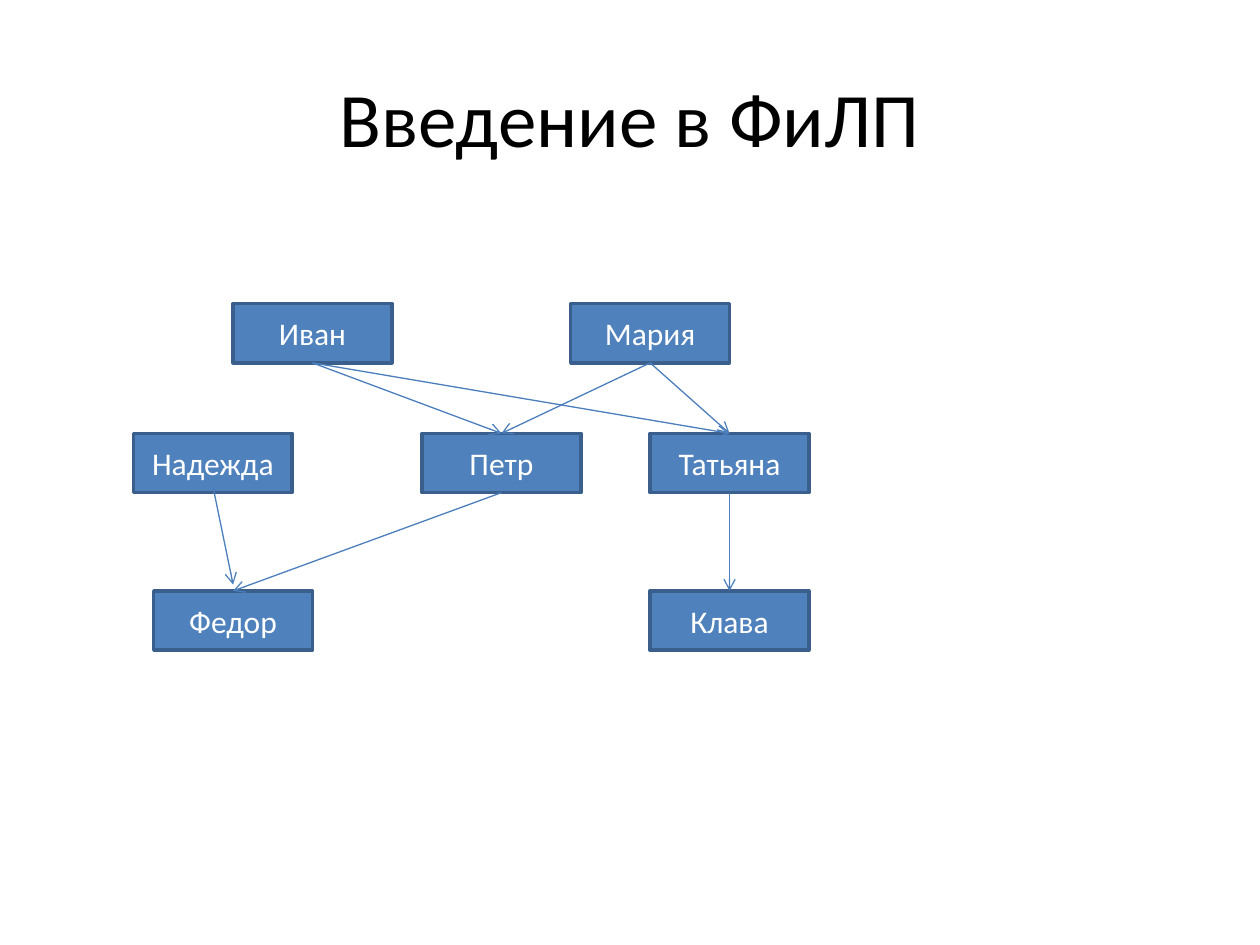
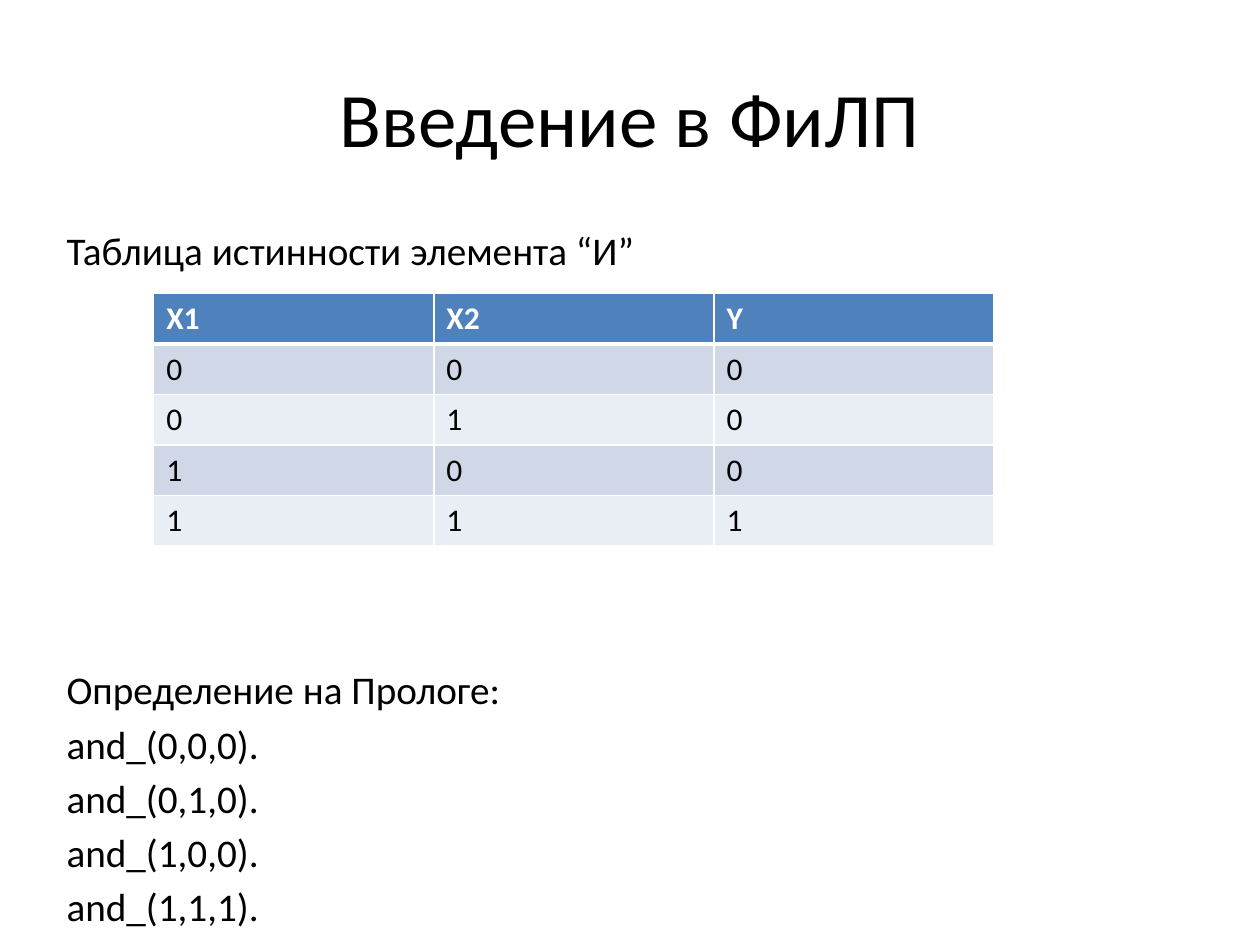
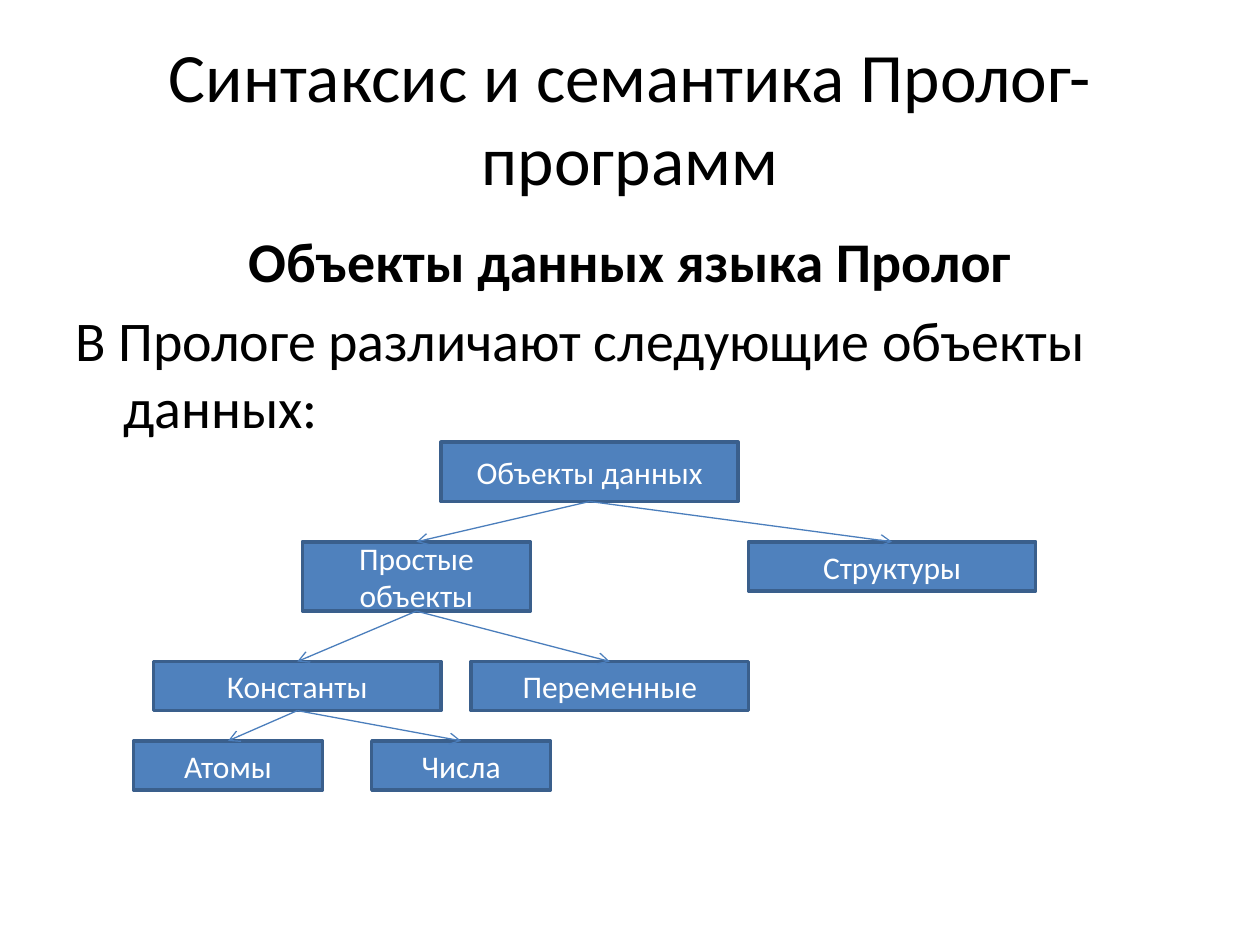
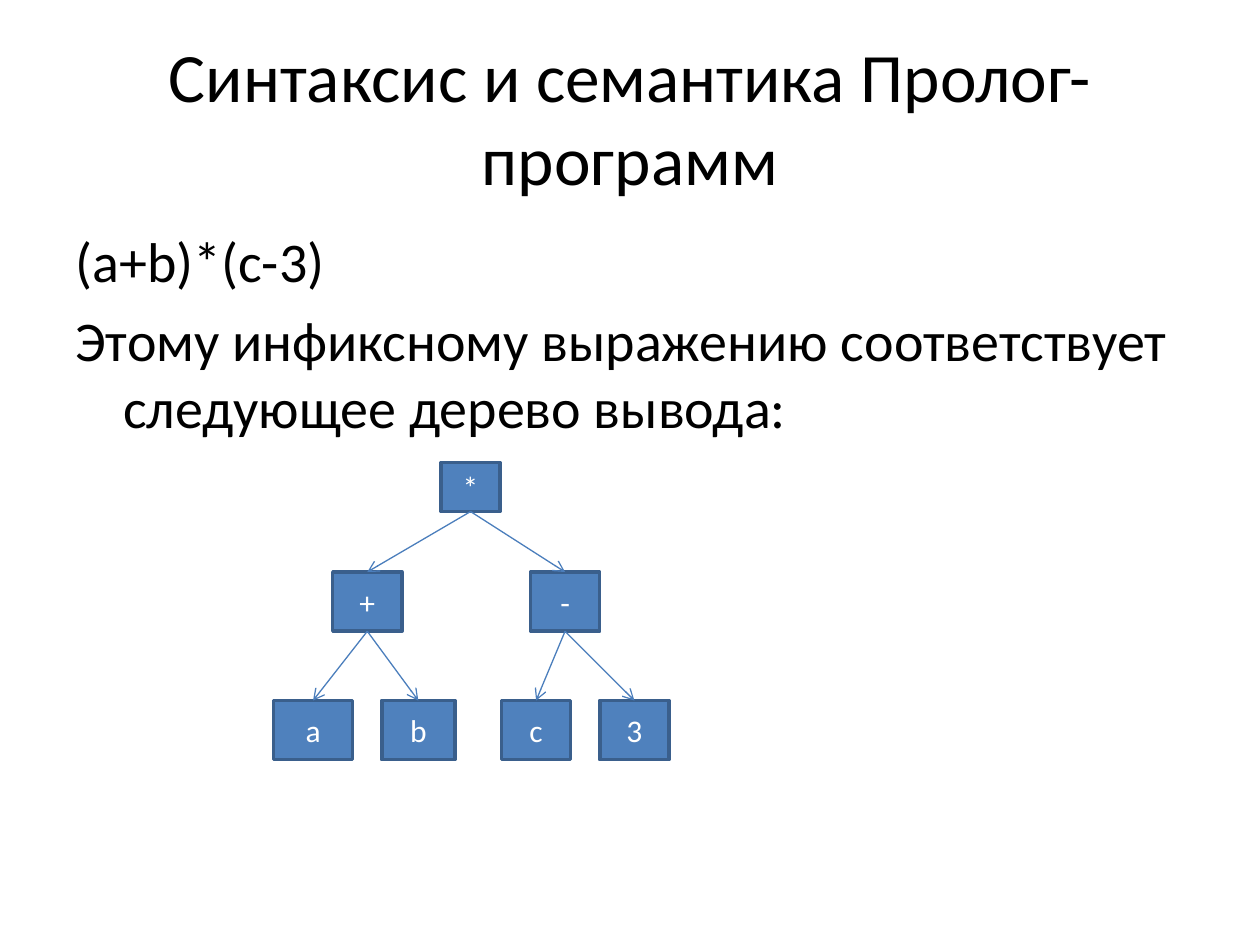
from dataclasses import dataclass
from itertools import product

from lxml import etree
from pptx import Presentation
from pptx.dml.color import RGBColor
from pptx.enum.shapes import MSO_CONNECTOR, MSO_SHAPE
from pptx.enum.text import MSO_ANCHOR, MSO_AUTO_SIZE, PP_ALIGN
from pptx.oxml.ns import qn
from pptx.presentation import Presentation as Deck
from pptx.shapes.autoshape import Shape
from pptx.slide import Slide
from pptx.table import _Cell as Cell
from pptx.text.text import _Paragraph as Paragraph
from pptx.util import Inches, Pt

RECTANGLE = MSO_SHAPE.RECTANGLE
STRAIGHT = MSO_CONNECTOR.STRAIGHT
LEFT, CENTER = PP_ALIGN.LEFT, PP_ALIGN.CENTER
MIDDLE = MSO_ANCHOR.MIDDLE
NO_AUTOFIT = MSO_AUTO_SIZE.NONE
TOP_SITE, BOTTOM_SITE = 0, 2
TITLE_ONLY = 5


@dataclass(frozen=True)
class Theme:
    font: str = "Calibri"
    text: str = "000000"
    paper: str = "FFFFFF"
    accent: str = "4F81BD"
    outline: str = "3A5F8C"
    arrow: str = "4B7EBC"
    bands: tuple[str, str] = ("D0D8E8", "E9EDF4")
    title_size: float = 44
    long_title_size: float = 39.6
    body_size: float = 32
    small_body_size: float = 22.4
    label_size: float = 18
    outline_width: float = 2
    arrow_width: float = 0.75
    rule_width: float = 1
    header_rule_width: float = 3


THEME = Theme()
INTRO_TITLE = "Введение в ФиЛП"
SYNTAX_TITLE = "Синтаксис и семантика Пролог-программ"


@dataclass(frozen=True)
class Node:
    text: str
    left: float
    top: float
    width: float
    height: float


@dataclass(frozen=True)
class Link:
    """An arrow from a node's bottom to another's top, raised by `rise` inches."""
    source: str
    target: str
    rise: float = 0


@dataclass(frozen=True)
class BodyLine:
    text: str
    space_before: float
    bold: bool = False
    align: PP_ALIGN = LEFT


def add_span(paragraph: Paragraph, text: str, size: float, color: str, bold: bool = False) -> None:
    span = paragraph.add_run()
    span.text = text
    span.font.name = THEME.font
    span.font.size = Pt(size)
    span.font.bold = bold
    span.font.color.rgb = RGBColor.from_string(color)


def add_titled_slide(deck: Deck, text: str, size: float) -> Slide:
    slide = deck.slides.add_slide(deck.slide_layouts[TITLE_ONLY])
    title = slide.shapes.title
    title.left, title.top = Inches(0.5), Inches(0.3)
    title.width, title.height = Inches(9), Inches(1.25)
    frame = title.text_frame
    frame.word_wrap = True
    frame.auto_size = NO_AUTOFIT
    frame.vertical_anchor = MIDDLE
    paragraph = frame.paragraphs[0]
    paragraph.alignment = CENTER
    add_span(paragraph, text, size, THEME.text)
    return slide


def add_body(slide: Slide, lines: list[BodyLine], size: float, left: float = 0.5) -> None:
    box = slide.shapes.add_textbox(Inches(left), Inches(1.75), Inches(9), Inches(4.95))
    frame = box.text_frame
    frame.word_wrap = True
    for index, line in enumerate(lines):
        paragraph = frame.add_paragraph() if index else frame.paragraphs[0]
        paragraph.alignment = line.align
        paragraph.space_before = Pt(line.space_before)
        hanging = Inches(0.38)
        properties = paragraph._p.get_or_add_pPr()
        properties.set("marL", str(hanging))
        properties.set("indent", str(-hanging))
        add_span(paragraph, line.text, size, THEME.text, line.bold)


def add_node(slide: Slide, node: Node) -> Shape:
    box = slide.shapes.add_shape(
        RECTANGLE, Inches(node.left), Inches(node.top), Inches(node.width), Inches(node.height)
    )
    box.shadow.inherit = False
    box.fill.solid()
    box.fill.fore_color.rgb = RGBColor.from_string(THEME.accent)
    box.line.color.rgb = RGBColor.from_string(THEME.outline)
    box.line.width = Pt(THEME.outline_width)
    frame = box.text_frame
    frame.word_wrap = True
    frame.vertical_anchor = MIDDLE
    paragraph = frame.paragraphs[0]
    paragraph.alignment = CENTER
    add_span(paragraph, node.text, THEME.label_size, THEME.paper)
    return box


def add_arrow(slide: Slide, source: Shape, target: Shape, rise: float) -> None:
    arrow = slide.shapes.add_connector(
        STRAIGHT,
        source.left + source.width // 2, source.top + source.height - Inches(rise),
        target.left + target.width // 2, target.top - Inches(rise),
    )
    if not rise:
        arrow.begin_connect(source, BOTTOM_SITE)
        arrow.end_connect(target, TOP_SITE)
    arrow.line.color.rgb = RGBColor.from_string(THEME.arrow)
    arrow.line.width = Pt(THEME.arrow_width)
    properties = arrow._element.spPr
    etree.SubElement(properties.find(qn("a:ln")), qn("a:tailEnd"), type="arrow")
    etree.SubElement(properties, qn("a:effectLst"))


def add_graph(slide: Slide, nodes: list[Node], links: list[Link]) -> None:
    boxes = {node.text: add_node(slide, node) for node in nodes}
    for link in links:
        add_arrow(slide, boxes[link.source], boxes[link.target], link.rise)


def set_borders(cell: Cell, top: float, bottom: float) -> None:
    """Draw all four sides; called before the fill, which must follow them in the XML."""
    properties = cell._tc.get_or_add_tcPr()
    widths = {"lnL": THEME.rule_width, "lnR": THEME.rule_width, "lnT": top, "lnB": bottom}
    for side, width in widths.items():
        line = etree.SubElement(properties, qn(f"a:{side}"), w=str(Pt(width)))
        fill = etree.SubElement(line, qn("a:solidFill"))
        etree.SubElement(fill, qn("a:srgbClr"), val=THEME.paper)


def add_truth_table(slide: Slide, rows: list[tuple]) -> None:
    frame = slide.shapes.add_table(
        len(rows), len(rows[0]), Inches(1.22), Inches(2.33), Inches(6.67), Inches(0.4) * len(rows)
    )
    thin, thick = THEME.rule_width, THEME.header_rule_width
    for row_index, row in enumerate(rows):
        header = row_index == 0
        fill = THEME.accent if header else THEME.bands[(row_index - 1) % 2]
        for column_index, value in enumerate(row):
            cell = frame.table.cell(row_index, column_index)
            set_borders(cell, thick if row_index == 1 else thin, thick if header else thin)
            cell.fill.solid()
            cell.fill.fore_color.rgb = RGBColor.from_string(fill)
            color = THEME.paper if header else THEME.text
            add_span(cell.text_frame.paragraphs[0], str(value), THEME.label_size, color, header)


def build_family(deck: Deck) -> None:
    slide = add_titled_slide(deck, INTRO_TITLE, THEME.title_size)
    places = [
        ("Иван", 1.85, 2.41), ("Мария", 4.53, 2.41),
        ("Петр", 3.35, 3.44), ("Татьяна", 5.16, 3.44), ("Надежда", 1.06, 3.44),
        ("Федор", 1.22, 4.69), ("Клава", 5.16, 4.69),
    ]
    links = [
        Link("Иван", "Петр"), Link("Иван", "Татьяна"),
        Link("Мария", "Петр"), Link("Мария", "Татьяна"),
        Link("Надежда", "Федор", rise=0.05),
        Link("Петр", "Федор"), Link("Татьяна", "Клава"),
    ]
    add_graph(slide, [Node(*place, 1.26, 0.47) for place in places], links)


def build_and_gate(deck: Deck) -> None:
    slide = add_titled_slide(deck, INTRO_TITLE, THEME.title_size)
    values = [(x1, x2, x1 & x2) for x1, x2 in product((0, 1), repeat=2)]
    gap, table_gap = 4.1, 224
    lines = [
        BodyLine("Таблица истинности элемента “И”", gap),
        BodyLine("Определение на Прологе:", table_gap),
    ]
    lines += [BodyLine(f"and_({x1},{x2},{y}).", gap) for x1, x2, y in values]
    add_body(slide, lines, THEME.small_body_size, left=0.43)
    add_truth_table(slide, [("X1", "X2", "Y"), *values])


def build_data_objects(deck: Deck) -> None:
    slide = add_titled_slide(deck, SYNTAX_TITLE, THEME.long_title_size)
    gap = THEME.body_size * 0.2
    add_body(slide, [
        BodyLine("Объекты данных языка Пролог", gap, bold=True, align=CENTER),
        BodyLine("В Прологе различают следующие объекты данных:", gap),
    ], THEME.body_size)
    nodes = [
        Node("Объекты данных", 3.5, 3.51, 2.36, 0.47),
        Node("Простые объекты", 2.4, 4.3, 1.81, 0.55),
        Node("Структуры", 5.94, 4.3, 2.28, 0.39),
        Node("Константы", 1.22, 5.25, 2.28, 0.39),
        Node("Переменные", 3.74, 5.25, 2.2, 0.39),
        Node("Атомы", 1.06, 5.88, 1.5, 0.39),
        Node("Числа", 2.95, 5.88, 1.42, 0.39),
    ]
    links = [
        Link("Объекты данных", "Простые объекты"), Link("Объекты данных", "Структуры"),
        Link("Простые объекты", "Константы"), Link("Простые объекты", "Переменные"),
        Link("Константы", "Атомы"), Link("Константы", "Числа"),
    ]
    add_graph(slide, nodes, links)


def build_expression_tree(deck: Deck) -> None:
    slide = add_titled_slide(deck, SYNTAX_TITLE, THEME.long_title_size)
    gap = THEME.body_size * 0.2
    add_body(slide, [
        BodyLine("(a+b)*(c-3)", gap),
        BodyLine("Этому инфиксному выражению соответствует следующее дерево вывода:", gap),
    ], THEME.body_size)
    nodes = [
        Node("*", 3.5, 3.67, 0.47, 0.39),
        Node("+", 2.64, 4.54, 0.55, 0.47),
        Node("-", 4.21, 4.54, 0.55, 0.47),
        Node("a", 2.17, 5.56, 0.63, 0.47),
        Node("b", 3.03, 5.56, 0.58, 0.47),
        Node("c", 3.98, 5.56, 0.55, 0.47),
        Node("3", 4.76, 5.56, 0.55, 0.47),
    ]
    children = {"*": "+-", "+": "ab", "-": "c3"}
    links = [Link(parent, child) for parent, pair in children.items() for child in pair]
    add_graph(slide, nodes, links)


def main() -> None:
    deck = Presentation()
    deck.slide_width, deck.slide_height = Inches(10), Inches(7.5)
    for build in (build_family, build_and_gate, build_data_objects, build_expression_tree):
        build(deck)
    deck.save("out.pptx")


if __name__ == "__main__":
    main()
